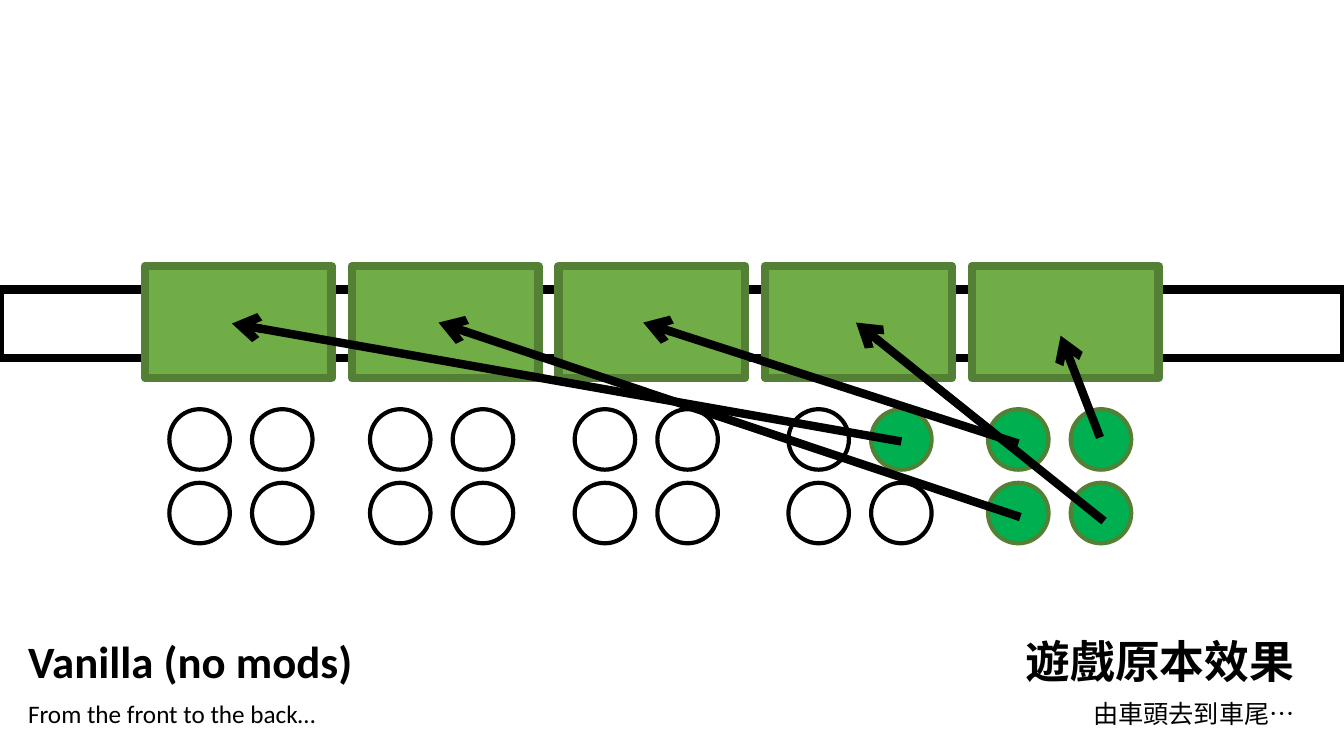
from pptx import Presentation
from pptx.dml.color import RGBColor
from pptx.enum.shapes import MSO_CONNECTOR, MSO_SHAPE
from pptx.enum.text import MSO_ANCHOR, MSO_AUTO_SIZE, PP_ALIGN
from pptx.oxml.ns import qn
from pptx.util import Inches, Pt
from lxml import etree

BLACK = RGBColor(0x00, 0x00, 0x00)
WHITE = RGBColor(0xFF, 0xFF, 0xFF)
CAR_GREEN = RGBColor(0x70, 0xAD, 0x47)
EDGE_GREEN = RGBColor(0x53, 0x80, 0x35)
SEAT_GREEN = RGBColor(0x00, 0xB0, 0x50)

LATIN = "Calibri"
CHINESE = "Noto Sans CJK TC"

CAR_PITCH = 2.05
SEAT_GROUP_LEFTS = [1.68, 3.67, 5.7, 7.82, 9.8]
SEAT_SIZE, SEAT_STEP_X, SEAT_STEP_Y, SEAT_TOP = 0.6, 0.82, 0.73, 4.06
# Taken seats as (group, row, column)
TAKEN = {(3, 0, 1), (4, 0, 0), (4, 0, 1), (4, 1, 0), (4, 1, 1)}
# Seat-to-car arrows as (start, end)
MOVES = [
    ((10.91, 4.34), (10.52, 3.33)),
    ((10.95, 5.17), (8.49, 3.2)),
    ((10.1, 4.4), (6.38, 3.2)),
    ((10.12, 5.13), (4.35, 3.2)),
    ((8.94, 4.38), (2.3, 3.21)),
]


def add_box(shapes, kind, left, top, width, height, fill, line, line_pt):
    """Add a flat filled and outlined preset shape."""
    shape = shapes.add_shape(kind, Inches(left), Inches(top),
                             Inches(width), Inches(height))
    shape.shadow.inherit = False
    shape.fill.solid()
    shape.fill.fore_color.rgb = fill
    shape.line.color.rgb = line
    shape.line.width = Pt(line_pt)
    return shape


def add_cars(slide):
    """Add the row of five train cars as one group."""
    cars = slide.shapes.add_group_shape()
    for i in range(5):
        add_box(cars.shapes, MSO_SHAPE.RECTANGLE, 1.44 + i * CAR_PITCH, 2.64,
                1.85, 1.11, CAR_GREEN, EDGE_GREEN, 6)


def add_seats(slide):
    """Add a two-by-two block of seats under each car."""
    for group, left in enumerate(SEAT_GROUP_LEFTS):
        for row in range(2):
            for col in range(2):
                taken = (group, row, col) in TAKEN
                add_box(slide.shapes, MSO_SHAPE.OVAL,
                        left + col * SEAT_STEP_X, SEAT_TOP + row * SEAT_STEP_Y,
                        SEAT_SIZE, SEAT_SIZE,
                        SEAT_GREEN if taken else WHITE,
                        EDGE_GREEN if taken else BLACK, 3)


def add_arrow(slide, start, end):
    """Add a thick black arrow from start to end."""
    arrow = slide.shapes.add_connector(
        MSO_CONNECTOR.STRAIGHT, *(Inches(v) for v in start + end))
    arrow.line.color.rgb = BLACK
    arrow.line.width = Pt(6)
    etree.SubElement(arrow.line._get_or_add_ln(), qn("a:tailEnd"), type="arrow")
    etree.SubElement(arrow._element.spPr, qn("a:effectLst"))


def set_text(shape, left, top, height, text, size, font, bold, align):
    """Place a text shape and format its single line."""
    shape.left, shape.top = Inches(left), Inches(top)
    shape.width, shape.height = Inches(4.61), Inches(height)
    frame = shape.text_frame
    frame.word_wrap = True
    frame.auto_size = MSO_AUTO_SIZE.NONE
    frame.vertical_anchor = MSO_ANCHOR.TOP
    paragraph = frame.paragraphs[0]
    paragraph.alignment = align
    run = paragraph.add_run()
    run.text = text
    run.font.size = Pt(size)
    run.font.bold = bold
    run.font.name = font
    run.font.color.rgb = BLACK
    etree.SubElement(run.font._element, qn("a:ea"), typeface=font)


def add_label(slide, *spec):
    """Add a text box with one formatted line."""
    set_text(slide.shapes.add_textbox(0, 0, 0, 0), *spec)


def main():
    """Build the seating slide and save it."""
    prs = Presentation()
    prs.slide_width, prs.slide_height = Inches(13.33), Inches(7.5)
    slide = prs.slides.add_slide(prs.slide_layouts[5])

    set_text(slide.shapes.title, 0.18, 6.24, 0.64, "Vanilla (no mods)",
             32, LATIN, True, PP_ALIGN.LEFT)
    add_box(slide.shapes, MSO_SHAPE.RECTANGLE, 0, 2.87, 13.33, 0.68,
            WHITE, BLACK, 6)
    add_cars(slide)
    add_label(slide, 0.18, 6.88, 0.4, "From the front to the back…",
              18, LATIN, False, PP_ALIGN.LEFT)
    add_label(slide, 8.33, 6.24, 0.64, "遊戲原本效果",
              32, CHINESE, True, PP_ALIGN.RIGHT)
    add_label(slide, 8.33, 6.88, 0.4, "由車頭去到車尾…",
              18, CHINESE, False, PP_ALIGN.RIGHT)
    add_seats(slide)
    for start, end in MOVES:
        add_arrow(slide, start, end)

    prs.save("out.pptx")


main()
